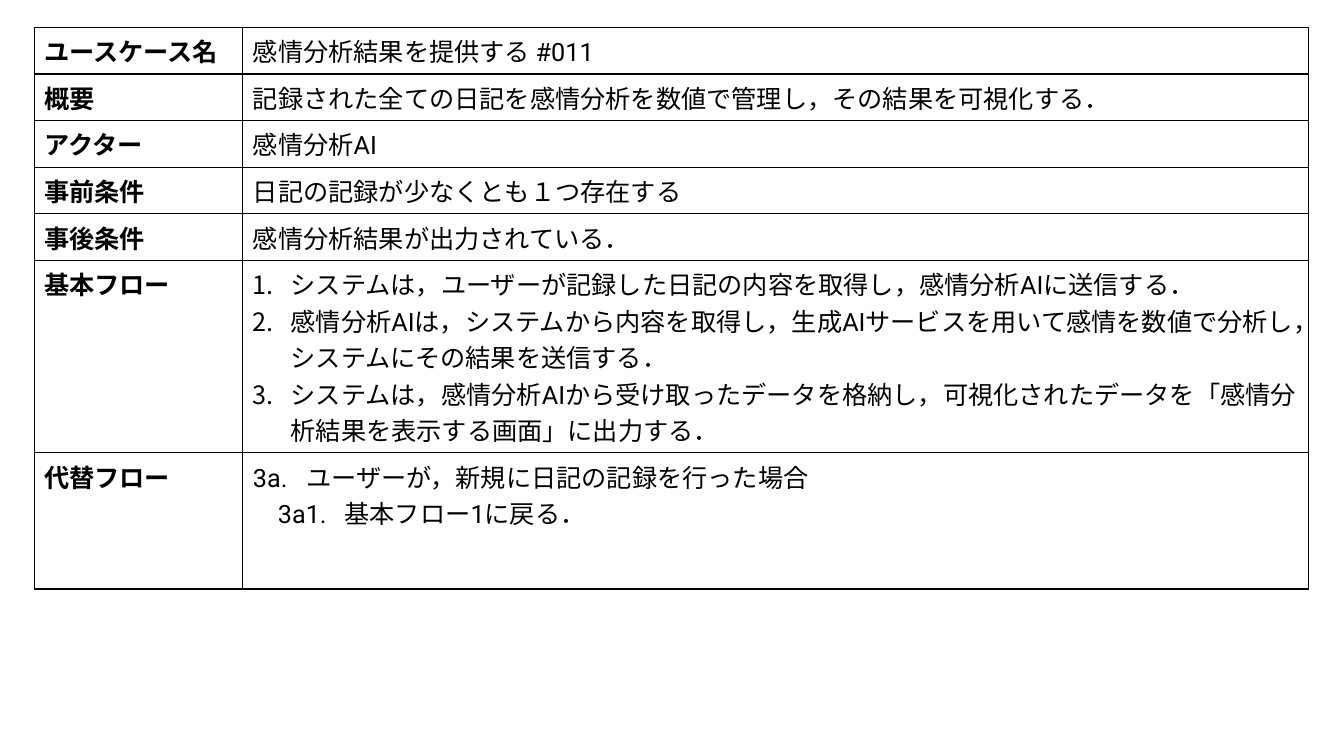
from dataclasses import dataclass

from lxml import etree
from pptx import Presentation, util as u
from pptx.dml.color import RGBColor
from pptx.enum import lang
from pptx.oxml import ns


@dataclass
class Theme:
    ink: str = "000000"
    font: str = "Roboto"
    size: int = 18
    rule: int = 1


# Column widths and row heights in cm
COLS = [5.26, 26.85]
ROWS = [1.17] * 5 + [4.84, 3.43]

# Paragraphs are (text, format) pairs
STEP = dict(left=0.95, hang=0.95, num=True)
CASES = [
    ("ユースケース名", [("感情分析結果を提供する #011", {})]),
    ("概要", [("記録された全ての日記を感情分析を数値で管理し，その結果を可視化する．", {})]),
    ("アクター", [("感情分析AI", {})]),
    ("事前条件", [("日記の記録が少なくとも１つ存在する", {})]),
    ("事後条件", [("感情分析結果が出力されている．", {})]),
    ("基本フロー", [
        ("システムは，ユーザーが記録した日記の内容を取得し，感情分析AIに送信する．", STEP),
        ("感情分析AIは，システムから内容を取得し，生成AIサービスを用いて感情を"
         "数値で分析し，システムにその結果を送信する．", STEP),
        ("システムは，感情分析AIから受け取ったデータを格納し，可視化されたデータを"
         "「感情分析結果を表示する画面」に出力する．", STEP),
    ]),
    ("代替フロー", [
        ("3a.\tユーザーが，新規に日記の記録を行った場合", dict(left=1.35, hang=1.35)),
        ("3a1.\t基本フロー1に戻る．", dict(left=2.31, hang=1.68)),
    ]),
]


def write(par, words, theme, bold=False, left=0, hang=0, num=False):
    """Put formatted text into a paragraph."""
    run = par.add_run()
    run.text = words
    font = run.font
    font.name, font.size, font.bold = theme.font, u.Pt(theme.size), bold
    font.color.rgb = RGBColor.from_string(theme.ink)
    font.language_id = lang.MSO_LANGUAGE_ID.JAPANESE
    if left:
        prop = par._p.get_or_add_pPr()
        prop.set("marL", str(u.Cm(left)))
        prop.set("indent", str(-u.Cm(hang)))
        if num:
            etree.SubElement(prop, ns.qn("a:buFont"), typeface="+mj-lt")
            etree.SubElement(prop, ns.qn("a:buAutoNum"), type="arabicPeriod")


class Deck:
    def __init__(self, theme):
        self.theme = theme
        self.prs = Presentation()
        self.prs.slide_width, self.prs.slide_height = u.Cm(33.87), u.Cm(19.05)
        self.slide = self.prs.slides.add_slide(self.prs.slide_layouts[6])

    def frame(self, cell):
        """Rule all four sides of a cell and clear its fill."""
        prop = cell._tc.get_or_add_tcPr()
        for side in ("lnL", "lnR", "lnT", "lnB"):
            line = etree.SubElement(prop, ns.qn(f"a:{side}"), w=str(u.Pt(self.theme.rule)))
            fill = etree.SubElement(line, ns.qn("a:solidFill"))
            etree.SubElement(fill, ns.qn("a:srgbClr"), val=self.theme.ink)
        cell.fill.background()

    def fill(self, cell, pars, bold=False):
        self.frame(cell)
        box = cell.text_frame
        for i, (words, form) in enumerate(pars):
            par = box.add_paragraph() if i else box.paragraphs[0]
            write(par, words, self.theme, bold=bold, **form)

    def table(self, left, top, cols, rows, data):
        grid = self.slide.shapes.add_table(
            len(rows), len(cols), u.Cm(left), u.Cm(top),
            u.Cm(sum(cols)), u.Cm(sum(rows))).table
        grid.first_row = grid.horz_banding = False
        for col, wide in zip(grid.columns, cols):
            col.width = u.Cm(wide)
        for row, high, (name, pars) in zip(grid.rows, rows, data):
            row.height = u.Cm(high)
            self.fill(row.cells[0], [(name, {})], bold=True)
            self.fill(row.cells[1], pars)


def main():
    deck = Deck(Theme())
    # Use case table
    deck.table(0.86, 0.69, COLS, ROWS, CASES)
    deck.prs.save("out.pptx")


if __name__ == "__main__":
    main()
